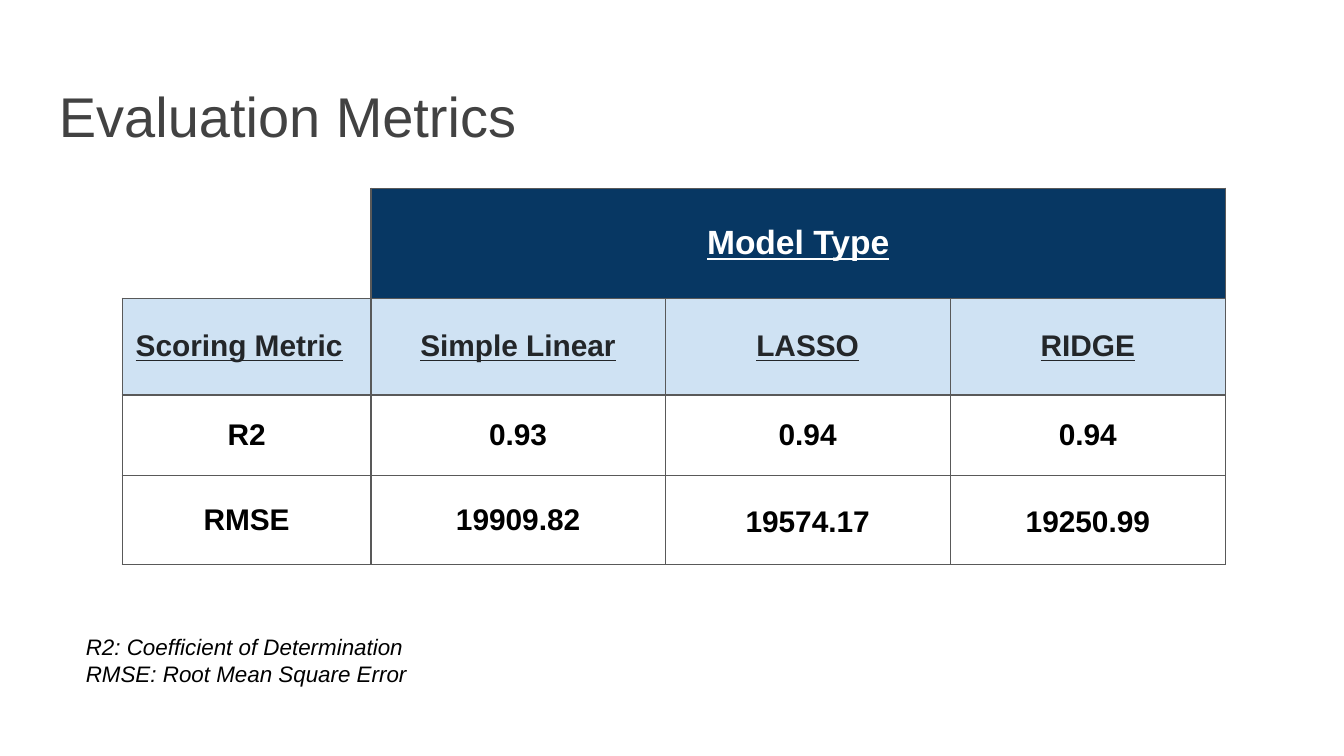
import pptx
import pptx.dml.color
import pptx.enum.text
import pptx.oxml
import pptx.oxml.ns
import pptx.util

Inches = pptx.util.Inches
RGBColor = pptx.dml.color.RGBColor
ALIGN = pptx.enum.text.PP_ALIGN
ANCHOR = pptx.enum.text.MSO_ANCHOR

WHITE = RGBColor(0xFF, 0xFF, 0xFF)
BLACK = RGBColor(0x00, 0x00, 0x00)
TITLE_GREY = RGBColor(0x42, 0x42, 0x42)
HEADING_GREY = RGBColor(0x23, 0x26, 0x29)
BORDER_GREY = RGBColor(0x59, 0x59, 0x59)
NAVY = RGBColor(0x07, 0x37, 0x63)
PALE_BLUE = RGBColor(0xCF, 0xE2, 0xF3)

COLUMN_WIDTHS = [1.85, 2.19, 2.12, 2.05]
ROW_HEIGHTS = [0.82, 0.72, 0.6, 0.66]
ROWS = [
    ["", "Model Type", "", ""],
    ["Scoring Metric", "Simple Linear", "LASSO", "RIDGE"],
    ["R2", "0.93", "0.94", "0.94"],
    ["RMSE", "19909.82", "19574.17", "19250.99"],
]


def write_text(para, text, size=16, color=BLACK, bold=False, italic=False,
               underline=False, align=ALIGN.LEFT, spacing=None):
    """Write one formatted run into a paragraph."""
    para.alignment = align
    para.line_spacing = spacing
    span = para.add_run()
    span.text = text
    font = span.font
    font.name = "Arial"
    font.size = pptx.util.Pt(size)
    font.color.rgb = color
    font.bold, font.italic, font.underline = bold, italic, underline


def add_text_box(page, box, lines, anchor=ANCHOR.TOP, **text_format):
    """Add a text box with one paragraph for each line."""
    frame = page.shapes.add_textbox(*map(Inches, box)).text_frame
    frame.word_wrap = True
    frame.vertical_anchor = anchor
    frame.margin_left = frame.margin_right = Inches(0.1)
    frame.margin_top = frame.margin_bottom = Inches(0.1)
    for index, line in enumerate(lines):
        para = frame.paragraphs[0] if index == 0 else frame.add_paragraph()
        write_text(para, line, **text_format)


def add_borders(cell, sides):
    """Draw thin grey lines on the given sides of a cell."""
    properties = cell._tc.get_or_add_tcPr()
    for side in sides:
        properties.append(pptx.oxml.parse_xml(
            f'<a:ln{side} {pptx.oxml.ns.nsdecls("a")} w="{pptx.util.Pt(0.75)}">'
            f'<a:solidFill><a:srgbClr val="{BORDER_GREY}"/></a:solidFill>'
            f'</a:ln{side}>'))


def fill_cell(cell, color=None):
    """Give a cell a solid fill, or none."""
    if color is None:
        cell.fill.background()
    else:
        cell.fill.solid()
        cell.fill.fore_color.rgb = color


def add_metrics_table(page, left, top):
    """Add the table of scores by model type."""
    table = page.shapes.add_table(
        len(ROWS), len(COLUMN_WIDTHS), Inches(left), Inches(top),
        Inches(sum(COLUMN_WIDTHS)), Inches(sum(ROW_HEIGHTS))).table
    table.first_row = table.horz_banding = False
    for column, width in zip(table.columns, COLUMN_WIDTHS):
        column.width = Inches(width)
    for row, height in zip(table.rows, ROW_HEIGHTS):
        row.height = Inches(height)
    table.cell(0, 1).merge(table.cell(0, 3))

    fills = [NAVY, PALE_BLUE, None, None]
    formats = [dict(size=18, color=WHITE, underline=True),
               dict(color=HEADING_GREY, underline=True), {}, {}]
    for r, texts in enumerate(ROWS):
        for c, text in enumerate(texts):
            cell = table.cell(r, c)
            is_corner = r == 0 and c == 0
            add_borders(cell, "RB" if is_corner else "LRTB")
            fill_cell(cell, None if is_corner else fills[r])
            cell.vertical_anchor = ANCHOR.MIDDLE
            cell.margin_left = cell.margin_right = Inches(0.1)
            cell.margin_top = cell.margin_bottom = Inches(0.1)
            if text:
                write_text(cell.text_frame.paragraphs[0], text, bold=True,
                           align=ALIGN.LEFT if (r, c) == (1, 0) else ALIGN.CENTER,
                           spacing=1.15 if r == 3 and c >= 2 else None,
                           **formats[r])


def main():
    """Build the slide and save the deck."""
    deck = pptx.Presentation()
    deck.slide_width = Inches(10)
    deck.slide_height = deck.slide_width * 9 // 16
    page = deck.slides.add_slide(deck.slide_layouts[6])
    add_text_box(page, (0.34, 0.41, 9.32, 0.8), ["Evaluation Metrics"],
                 anchor=ANCHOR.BOTTOM, size=30, color=TITLE_GREY)
    add_metrics_table(page, 0.91, 1.4)
    add_text_box(page, (0.54, 4.61, 6.81, 0.61),
                 ["R2: Coefficient of Determination",
                  "RMSE: Root Mean Square Error"], size=12, italic=True)
    deck.save("out.pptx")


if __name__ == "__main__":
    main()
